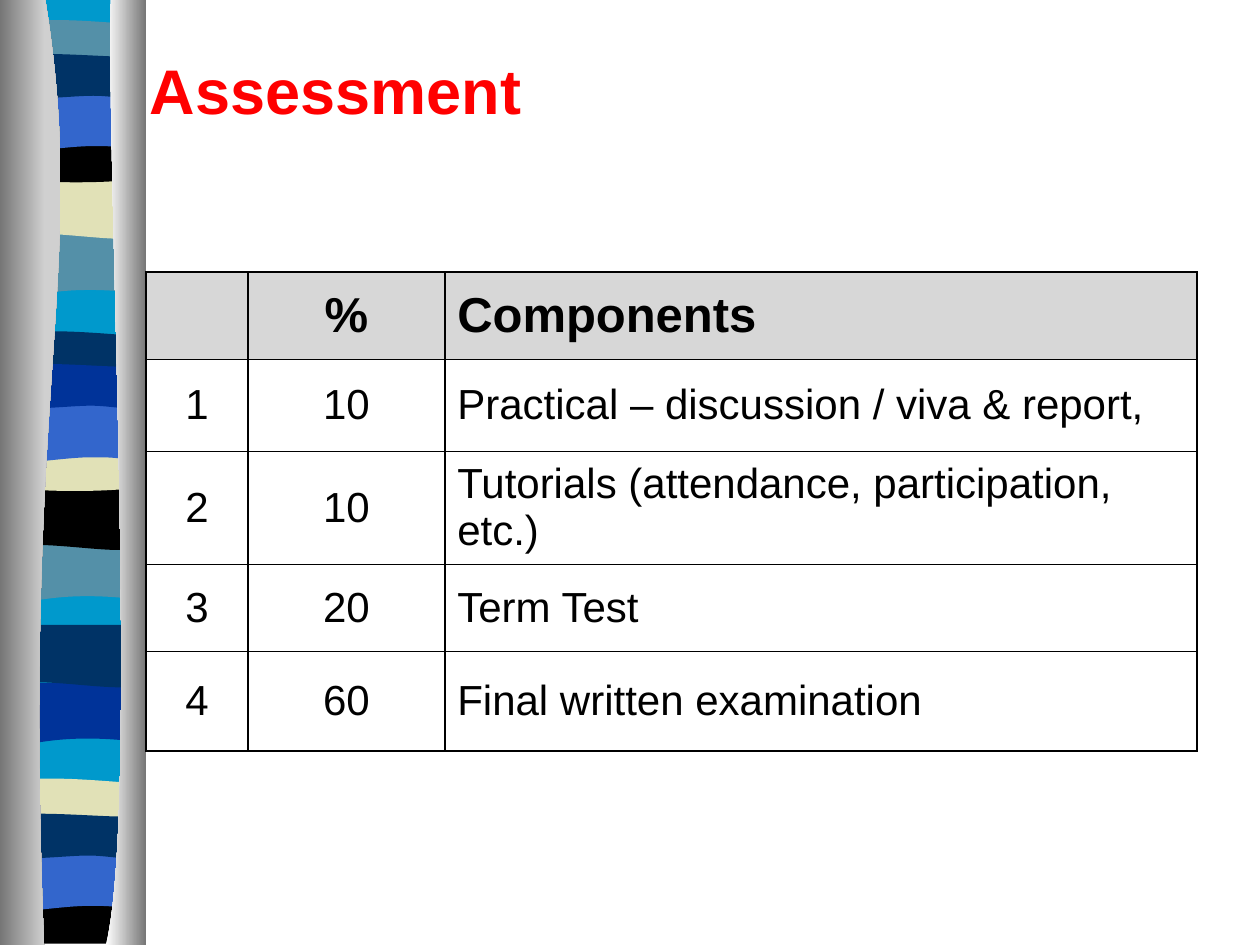
import pptx
import pptx.dml.color
import pptx.enum.text
import pptx.oxml
import pptx.oxml.ns
import pptx.util

Inches, Pt = pptx.util.Inches, pptx.util.Pt
Align, Anchor = pptx.enum.text.PP_ALIGN, pptx.enum.text.MSO_ANCHOR

WIDTH, HEIGHT = 10, 7.5
UNITS = 1000  # outline units to the inch
BLACK, GREY, WHITE = "000000", "767676", "FFFFFF"
TEAL, SAND, NAVY = "5490A8", "E1E1B7", "003366"
BLUE, ROYAL, CYAN = "3366CC", "003399", "0099CC"

# Band outlines: a point is a straight step, three points are a curve.
BAND = 1.07
OUTLINES = {
    "slant": [(BAND, 0), (BAND, 0.47), ((0.33, 0.38), (0.18, 0.54), (0, 0.47)), (0, 0)],
    "swell": [(BAND, 0), (BAND, 0.47), ((0.89, 0.55), (0.33, 0.41), (0, 0.47)), (0, 0)],
    "ripple": [(BAND, 0.05), (BAND, 0.3), ((0.89, 0.34), (0.18, 0.34), (0, 0.3)),
               (0, 0.05), ((0.07, 0), (0.24, 0.01), (0.41, 0.01)),
               ((0.59, 0.01), (0.93, 0.04), (BAND, 0.05))],
    "dip": [(BAND, 0), (BAND, 0.33), ((0.89, 0.38), (0.18, 0.38), (0, 0.33)),
            (0, 0), ((0.66, 0.05), (0.84, 0), (BAND, 0))],
    "arch": [(BAND, 0), (BAND, 0.47), ((0.9, 0.42), (0.83, 0.42), (0.66, 0.42)),
             ((0.48, 0.42), (0.17, 0.47), (0, 0.47)), (0, 0)],
    "roll": [(BAND, 0.05), (BAND, 0.36), ((1, 0.41), (0.84, 0.36), (0.66, 0.36)),
             ((0.48, 0.36), (0.11, 0.41), (0, 0.36)), (0, 0.05),
             ((0.15, 0), (0.73, 0.05), (0.9, 0.05))],
    "backing": [(BAND, 0), (BAND, 7.47), (0, 7.47), (0, 0)],
    "foot": [(BAND, 0), (BAND, 0.37), (0, 0.37), (0, 0),
             ((0.66, 0.05), (0.84, 0), (BAND, 0))],
}
# Outline, left, top, colour, from back to front
BANDS = [
    ("backing", 0.08, 0, CYAN),
    ("slant", 0.07, 1.86, TEAL), ("swell", 0.08, 1.4, SAND),
    ("ripple", 0.08, 0.15, TEAL), ("dip", 0.07, 1.08, BLACK),
    ("arch", 0.07, 0.74, BLUE), ("roll", 0.08, 0.4, NAVY),
    ("slant", 0.05, 4.29, TEAL), ("swell", 0.06, 3.87, BLACK),
    ("ripple", 0.06, 2.62, NAVY), ("dip", 0.06, 3.53, SAND),
    ("arch", 0.06, 3.21, BLUE), ("roll", 0.06, 2.86, ROYAL),
    ("slant", 0.05, 5.42, ROYAL), ("swell", 0.06, 4.96, NAVY),
    ("ripple", 0.05, 6.17, SAND), ("foot", 0.05, 7.12, BLACK),
    ("arch", 0.04, 6.77, BLUE), ("roll", 0.04, 6.43, NAVY),
]
LEFT_EDGE = [(0.36, 0), ((0.71, 2.16), (0.17, 2.96), (0.35, HEIGHT)), (0, HEIGHT), (0, 0)]
RIGHT_EDGE = [(0.88, 0), ((0.84, 1.25), (1.11, 6.46), (0.84, HEIGHT)),
              (1.16, HEIGHT), (1.16, 0)]

COLUMNS = [0.81, 1.56, 5.97]
ROWS = [0.69, 0.73, 0.9, 0.69, 0.79]
ASSESSMENT = [
    ("", "%", "Components"),
    ("1", "10", "Practical – discussion / viva & report,"),
    ("2", "10", "Tutorials (attendance, participation, etc.)"),
    ("3", "20", "Term Test"),
    ("4", "60", "Final written examination"),
]


def rgb(value):
    return pptx.dml.color.RGBColor.from_string(value)


def set_font(para, color, **values):
    para.font.color.rgb = rgb(color)
    for name, value in {"name": "Arial", **values}.items():
        setattr(para.font, name, value)


def is_curve(part):
    return len(part) == 3


def bend_curves(shape, outline, origin):
    """Turn the straight steps of an outline's curves into Bézier steps."""
    lines = shape.element.findall(".//" + pptx.oxml.ns.qn("a:lnTo"))
    for line, part in zip(lines, outline[1:]):
        if is_curve(part):
            points = "".join(
                f'<a:pt x="{round((x - origin[0]) * UNITS)}" '
                f'y="{round((y - origin[1]) * UNITS)}"/>' for x, y in part)
            line.getparent().replace(line, pptx.oxml.parse_xml(
                f'<a:cubicBezTo {pptx.oxml.ns.nsdecls("a")}>{points}</a:cubicBezTo>'))


def add_outline(page, outline, colors, left=0, top=0):
    """Draw a filled outline; two colours make a left-to-right gradient."""
    anchors = [part[-1] if is_curve(part) else part for part in outline]
    points = [((left + x) * UNITS, (top + y) * UNITS) for x, y in anchors]
    builder = page.shapes.build_freeform(*points[0], scale=Inches(1) / UNITS)
    builder.add_line_segments(points[1:], close=True)
    shape = builder.convert_to_shape()
    bend_curves(shape, outline, [min(axis) for axis in zip(*anchors)])
    shape.shadow.inherit = False
    shape.line.fill.background()
    if len(colors) == 1:
        shape.fill.solid()
        shape.fill.fore_color.rgb = rgb(colors[0])
    else:
        shape.fill.gradient()
        shape.fill.gradient_angle = 0
        for stop, color in zip(shape.fill.gradient_stops, colors):
            stop.color.rgb = rgb(color)


def add_ribbon(page):
    for name, left, top, color in BANDS:
        add_outline(page, OUTLINES[name], [color], left, top)
    add_outline(page, LEFT_EDGE, [GREY, "D0D0D0"])
    add_outline(page, RIGHT_EDGE, [WHITE, GREY])


def format_title(page, text):
    title = page.shapes.title
    title.element.getparent().append(title.element)  # in front of the ribbon
    box = {"left": 1.09, "top": 0.25, "width": 8.5, "height": 0.92}
    for name, value in box.items():
        setattr(title, name, Inches(value))
    title.text_frame.text = text
    title.text_frame.vertical_anchor = Anchor.MIDDLE
    para = title.text_frame.paragraphs[0]
    para.alignment = Align.LEFT
    set_font(para, "FF0000", size=Pt(36), bold=True)


def set_borders(cell, widths):
    for side, width in widths.items():
        cell._tc.get_or_add_tcPr().append(pptx.oxml.parse_xml(
            f'<a:ln{side} {pptx.oxml.ns.nsdecls("a")} w="{Pt(width)}"><a:solidFill>'
            f'<a:srgbClr val="{BLACK}"/></a:solidFill></a:ln{side}>'))


def fill_cell(cell, text, row, column):
    header, last = row == 0, row == len(ROWS) - 1
    thick, thin = 1.08, 0.45
    set_borders(cell, {"L": thick, "R": thick, "T": thick if header else thin,
                       "B": thick if last else thin})
    if header:
        cell.fill.solid()
        cell.fill.fore_color.rgb = rgb("D7D7D7")
    else:
        cell.fill.background()
    cell.vertical_anchor = Anchor.MIDDLE
    if not text:
        return
    cell.text = text
    para = cell.text_frame.paragraphs[0]
    para.alignment = Align.LEFT if column == 2 else Align.CENTER
    para.space_before = Pt(7 if header else 6)
    set_font(para, BLACK, size=Pt(28 if header else 24), bold=header)


def add_assessment_table(page):
    frame = page.shapes.add_table(len(ROWS), len(COLUMNS), Inches(1.16), Inches(2.16),
                                  Inches(sum(COLUMNS)), Inches(sum(ROWS)))
    table = frame.table
    table.first_row = table.horz_banding = False
    for column, width in zip(table.columns, COLUMNS):
        column.width = Inches(width)
    for row, height in zip(table.rows, ROWS):
        row.height = Inches(height)
    for row, texts in enumerate(ASSESSMENT):
        for column, text in enumerate(texts):
            fill_cell(table.cell(row, column), text, row, column)


def main():
    deck = pptx.Presentation()
    deck.slide_width, deck.slide_height = Inches(WIDTH), Inches(HEIGHT)
    page = deck.slides.add_slide(deck.slide_layouts[5])
    add_ribbon(page)
    format_title(page, "Assessment")
    add_assessment_table(page)
    deck.save("out.pptx")


if __name__ == "__main__":
    main()
